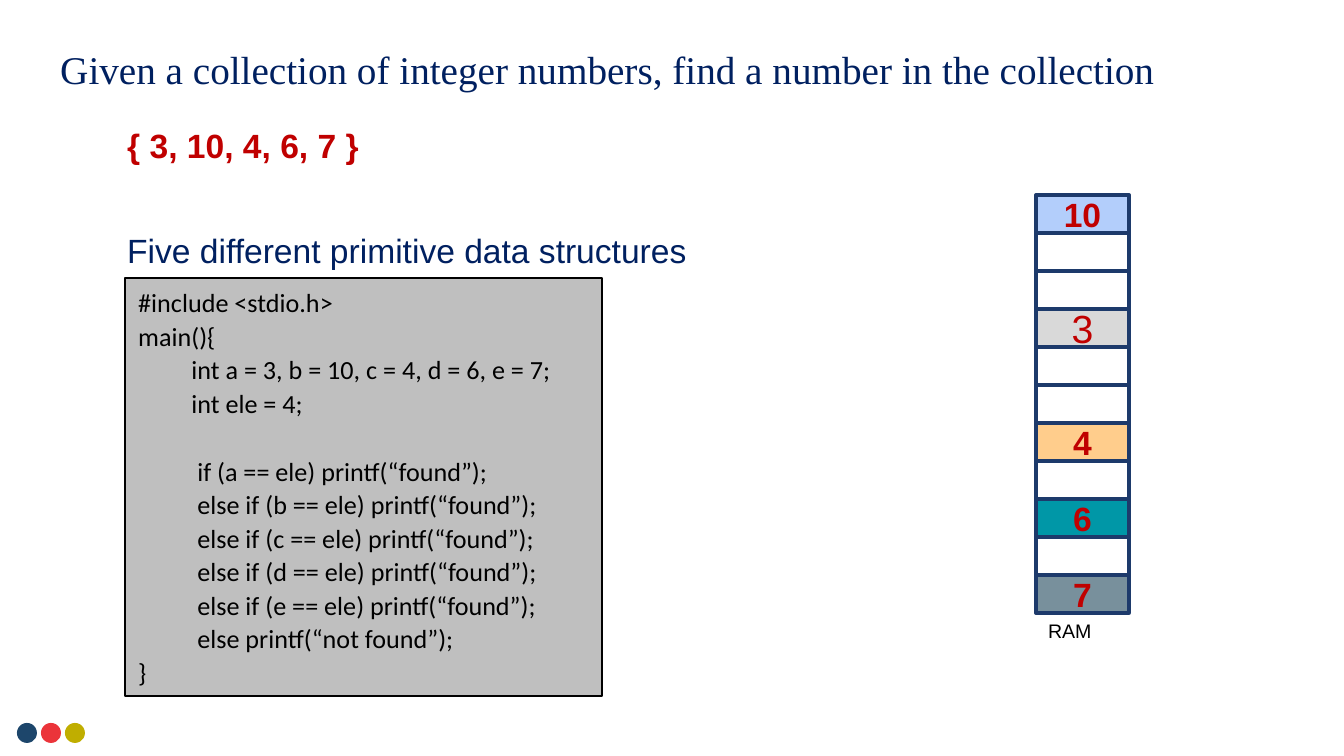
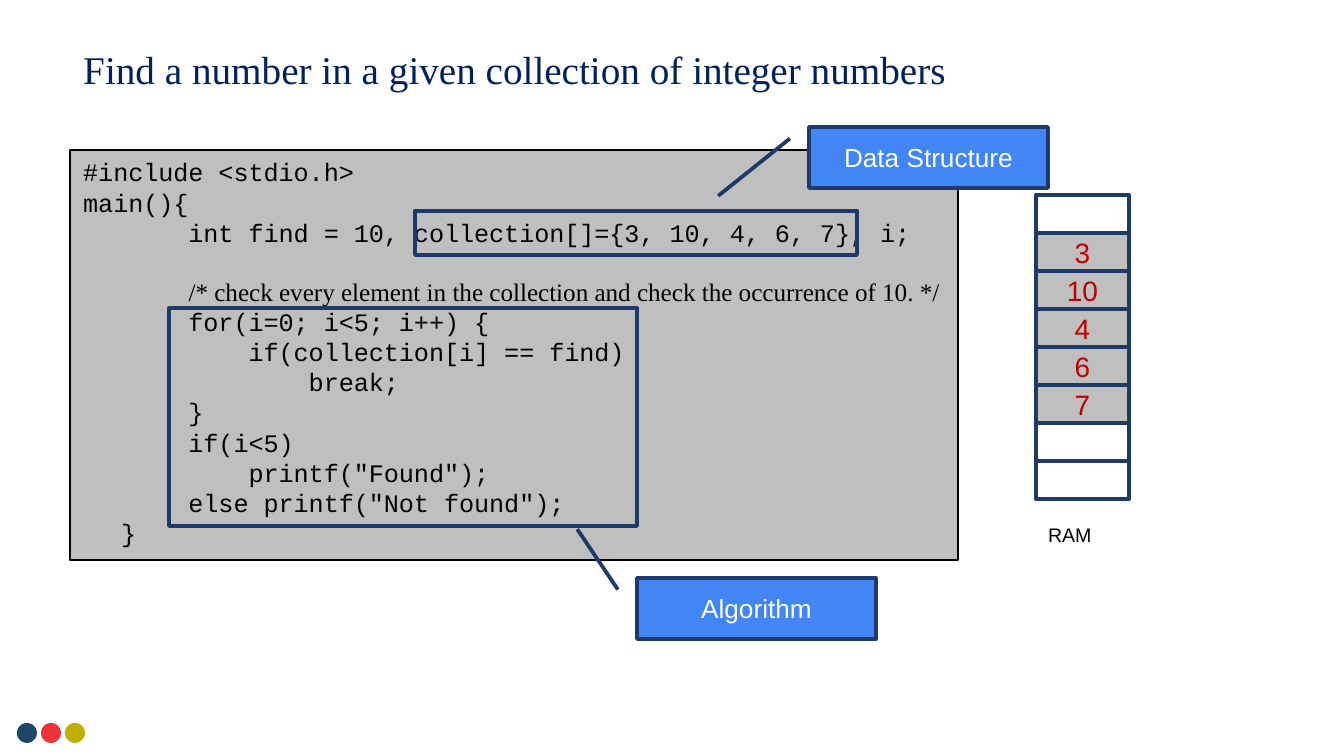
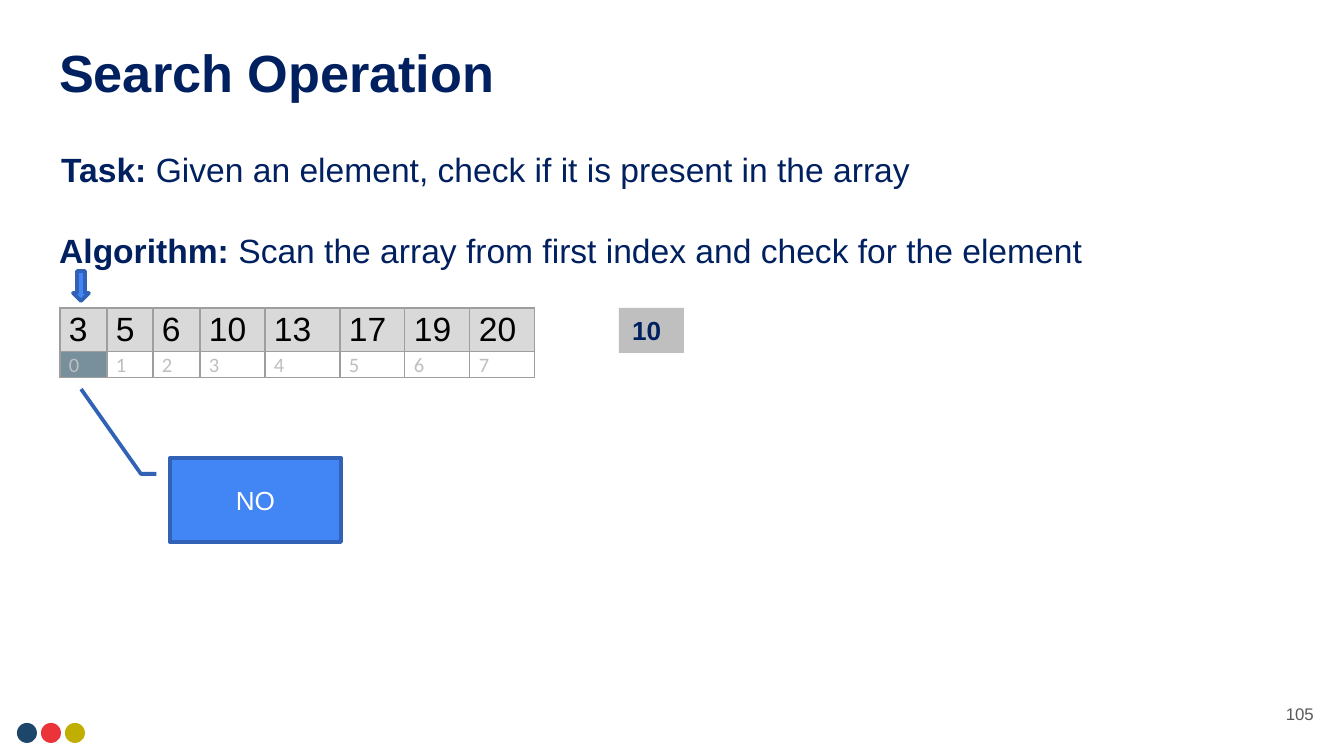
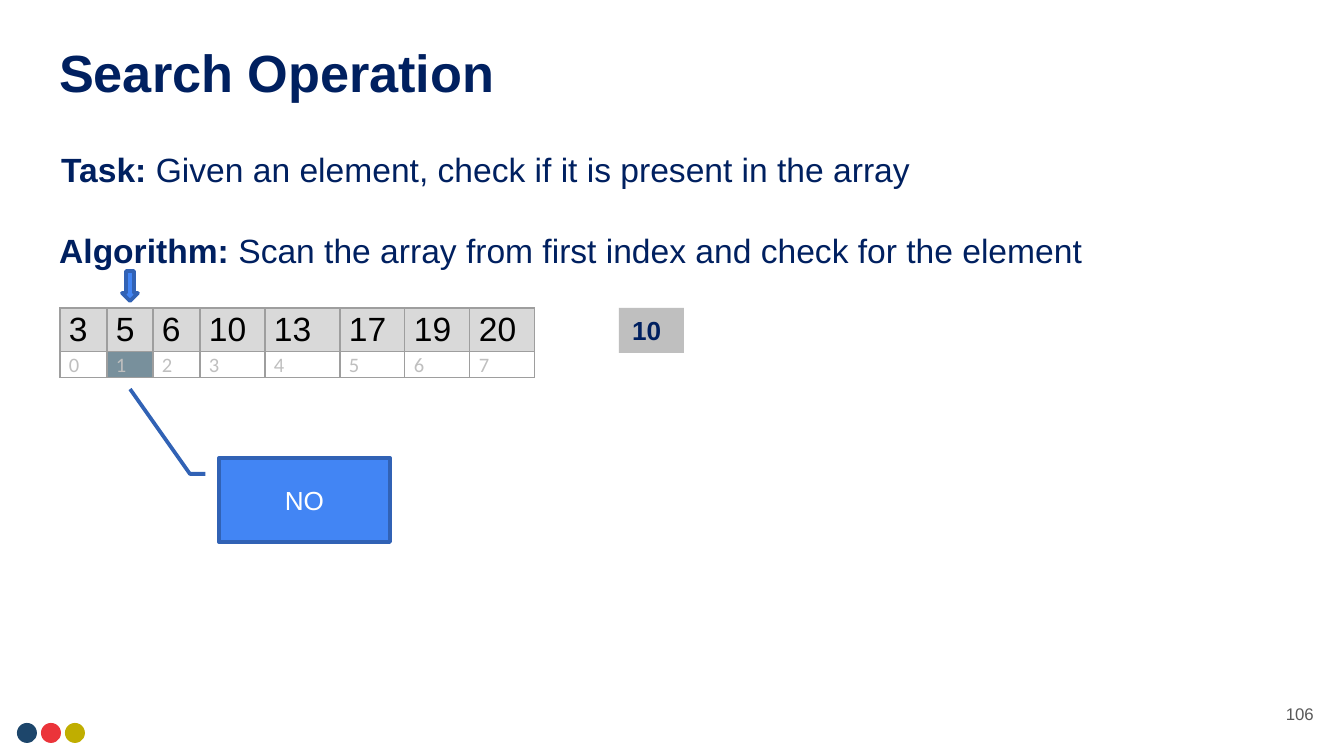
from dataclasses import dataclass, replace
from typing import Optional

from lxml.etree import SubElement
from pptx import Presentation
from pptx.dml.color import RGBColor
from pptx.enum.shapes import MSO_SHAPE
from pptx.enum.text import MSO_ANCHOR, PP_ALIGN
from pptx.oxml.ns import qn
from pptx.util import Emu, Pt

EMU_PER_PX = 914400 / 134.4

NAVY = "002060"
RED = "C00000"
BLACK = "000000"
WHITE = "FFFFFF"
GREY = "BFBFBF"
PALE_GREY = "D9D9D9"
SLATE = "78909C"
BLUE = "4285F4"
BLUE_EDGE = "3162B5"
DARK_EDGE = "1D3A6B"
GRID = "9E9E9E"


@dataclass(frozen=True)
class Box:
    left: int
    top: int
    width: int
    height: int


@dataclass(frozen=True)
class Style:
    font: str
    size: float
    color: str
    bold: bool = False
    align: PP_ALIGN = PP_ALIGN.LEFT
    line_spacing: Optional[float] = None
    margin: int = 0
    hanging: int = 0


@dataclass(frozen=True)
class Span:
    text: str
    bold: Optional[bool] = None
    font: Optional[str] = None


@dataclass(frozen=True)
class Look:
    fill: Optional[str] = None
    edge: Optional[str] = None
    weight: float = 2


@dataclass(frozen=True)
class Cell:
    text: str = ""
    fill: Optional[str] = None
    size: float = 18
    bold: bool = True


HEADLINE = Style("Times New Roman", 21, NAVY)
TITLE = Style("Arial", 28, NAVY, bold=True)
BODY = Style("Arial", 18, NAVY)
RAM_LABEL = Style("Arial", 10.5, BLACK)
CALLOUT = Style("Arial", 14, WHITE, align=PP_ALIGN.CENTER)
TARGET = Style("Arial", 14, NAVY, bold=True)
PAGE_NUMBER = Style("Arial", 9, "595959", align=PP_ALIGN.RIGHT)
CALIBRI_CODE = Style("Calibri", 14, BLACK, line_spacing=1.07)
COURIER_CODE = Style("Courier New", 13.5, BLACK, align=PP_ALIGN.JUSTIFY, margin=38, hanging=38)
VALUE = Style("Arial", 18, BLACK, line_spacing=1.07)
INDEX = Style("Calibri", 11, GREY, line_spacing=1.07)

CODE_LOOK = Look(GREY, BLACK, 0.75)
FRAME_LOOK = Look(edge=DARK_EDGE)

DOTS = ("1D466B", "EB343A", "C0AE00")
ARRAY = (3, 5, 6, 10, 13, 17, 19, 20)
COLUMN_WIDTHS = (47, 46, 47, 65, 75, 65, 65, 65)
ROW_HEIGHTS = (43, 26)
INDEX_STEP = 49

FIVE_VARIABLES = """#include <stdio.h>
main(){
         int a = 3, b = 10, c = 4, d = 6, e = 7;
         int ele = 4;

          if (a == ele) printf(“found”);
          else if (b == ele) printf(“found”);
          else if (c == ele) printf(“found”);
          else if (d == ele) printf(“found”);
          else if (e == ele) printf(“found”);
          else printf(“not found”);
}"""

ARRAY_LOOP = """#include <stdio.h>
main(){
       int find = 10, collection[]={3, 10, 4, 6, 7}, i;

       /* check every element in the collection and check the occurrence of 10. */
       for(i=0; i<5; i++) {
           if(collection[i] == find)
               break;
       }
       if(i<5)
           printf("Found");
       else printf("Not found");
}"""


def px(value: int) -> Emu:
    return Emu(round(value * EMU_PER_PX))


def rgb(color: str) -> RGBColor:
    return RGBColor.from_string(color)


def place(box: Box) -> tuple:
    return px(box.left), px(box.top), px(box.width), px(box.height)


def write_para(para, spans: list[Span], style: Style) -> None:
    para.alignment = style.align
    if style.line_spacing:
        para.line_spacing = style.line_spacing
    if style.margin:
        properties = para._p.get_or_add_pPr()
        properties.set("marL", str(px(style.margin)))
        properties.set("indent", str(-px(style.hanging)))
    para.font.name = style.font
    para.font.size = Pt(style.size)
    para.font.bold = style.bold
    para.font.color.rgb = rgb(style.color)
    for span in spans:
        run = para.add_run()
        run.text = span.text
        if span.bold is not None:
            run.font.bold = span.bold
        if span.font:
            run.font.name = span.font


def add_text(page, box: Box, spans: list[Span], style: Style):
    shape = page.shapes.add_textbox(*place(box))
    shape.text_frame.word_wrap = True
    write_para(shape.text_frame.paragraphs[0], spans, style)
    return shape


def add_shape(shapes, kind: MSO_SHAPE, box: Box, look: Look, text: str = "",
              style: Style = CALLOUT, anchor: MSO_ANCHOR = MSO_ANCHOR.MIDDLE,
              adjustments: tuple = ()):
    shape = shapes.add_shape(kind, *place(box))
    shape.shadow.inherit = False
    if look.fill:
        shape.fill.solid()
        shape.fill.fore_color.rgb = rgb(look.fill)
    else:
        shape.fill.background()
    if look.edge:
        shape.line.color.rgb = rgb(look.edge)
        shape.line.width = Pt(look.weight)
    else:
        shape.line.fill.background()
    for number, value in enumerate(adjustments):
        shape.adjustments[number] = value
    shape.text_frame.word_wrap = True
    shape.text_frame.vertical_anchor = anchor
    if text:
        write_para(shape.text_frame.paragraphs[0], [Span(text)], style)
    return shape


def add_code(page, box: Box, code: str, style: Style, line_height: float) -> None:
    shape = add_shape(page.shapes, MSO_SHAPE.RECTANGLE, box, CODE_LOOK, anchor=MSO_ANCHOR.TOP)
    frame = shape.text_frame
    gap = False
    for number, line in enumerate(code.split("\n")):
        if not line:
            gap = True
            continue
        para = frame.paragraphs[0] if number == 0 else frame.add_paragraph()
        start = line.find("/*")
        if start >= 0:
            spans = [Span(line[:start]), Span(line[start:], font="Times New Roman")]
        else:
            spans = [Span(line)]
        line_style = replace(style, hanging=0) if line == "}" else style
        write_para(para, spans, line_style)
        if gap:
            para.space_before = Pt(line_height)
            gap = False


def add_ram(page, cells: list[Cell], label_top: int) -> None:
    group = page.shapes.add_group_shape()
    for number, cell in enumerate(cells):
        style = Style("Arial", cell.size, RED, bold=cell.bold, align=PP_ALIGN.CENTER)
        add_shape(group.shapes, MSO_SHAPE.RECTANGLE, Box(1036, 195 + 38 * number, 93, 38),
                  Look(cell.fill, DARK_EDGE), cell.text, style)
    add_text(page, Box(1035, label_top, 99, 38), [Span("RAM")], RAM_LABEL)


def add_borders(cell) -> None:
    properties = cell._tc.get_or_add_tcPr()
    for number, side in enumerate(("a:lnL", "a:lnR", "a:lnT", "a:lnB")):
        line = SubElement(properties, qn(side), w=str(Pt(0.75)))
        fill = SubElement(line, qn("a:solidFill"))
        SubElement(fill, qn("a:srgbClr"), val=GRID)
        properties.remove(line)
        properties.insert(number, line)


def add_array(page, current: int) -> None:
    box = Box(60, 308, sum(COLUMN_WIDTHS), sum(ROW_HEIGHTS))
    table = page.shapes.add_table(2, len(ARRAY), *place(box)).table
    table.first_row = False
    table.horz_banding = False
    for row, height in zip(table.rows, ROW_HEIGHTS):
        row.height = px(height)
    for index, (value, width) in enumerate(zip(ARRAY, COLUMN_WIDTHS)):
        table.columns[index].width = px(width)
        index_fill = SLATE if index == current else None
        entries = ((value, VALUE, PALE_GREY), (index, INDEX, index_fill))
        for row, (content, style, fill) in enumerate(entries):
            cell = table.cell(row, index)
            cell.margin_left = cell.margin_right = px(9)
            cell.margin_top = cell.margin_bottom = 0
            if fill:
                cell.fill.solid()
                cell.fill.fore_color.rgb = rgb(fill)
            else:
                cell.fill.background()
            add_borders(cell)
            write_para(cell.text_frame.paragraphs[0], [Span(str(content))], style)


def add_page(deck):
    page = deck.slides.add_slide(deck.slide_layouts[6])
    group = page.shapes.add_group_shape()
    for number, color in enumerate(DOTS):
        add_shape(group.shapes, MSO_SHAPE.OVAL, Box(17 + 24 * number, 723, 20, 20), Look(color))
    return page


def build_variables(deck) -> None:
    page = add_page(deck)
    add_text(page, Box(47, 39, 1138, 60),
             [Span("Given a collection of integer numbers, find a number in the collection")],
             HEADLINE)
    add_text(page, Box(114, 118, 664, 54), [Span("{ 3, 10, 4, 6, 7 }")],
             replace(BODY, color=RED, bold=True))
    add_text(page, Box(114, 223, 672, 54),
             [Span("Five different primitive data structures")], BODY)
    empty = Cell()
    add_ram(page, [
        Cell("10", "B3CEFB"), empty, empty,
        Cell("3", PALE_GREY, 21, False), empty, empty,
        Cell("4", "FFCD8C"), empty,
        Cell("6", "0097A7"), empty,
        Cell("7", SLATE),
    ], 612)
    add_code(page, Box(125, 278, 477, 418), FIVE_VARIABLES, CALIBRI_CODE, 18.3)


def build_loop(deck) -> None:
    page = add_page(deck)
    add_text(page, Box(70, 39, 898, 60),
             [Span("Find a number in a given collection of integer numbers")], HEADLINE)
    values = [Cell(text, GREY, 15, False) for text in ("3", "10", "4", "6", "7")]
    add_ram(page, [Cell(), *values, Cell(), Cell()], 516)
    add_code(page, Box(70, 150, 888, 410), ARRAY_LOOP, COURIER_CODE, 15.3)
    for frame in (Box(415, 211, 442, 44), Box(169, 308, 468, 218)):
        add_shape(page.shapes, MSO_SHAPE.RECTANGLE, frame, FRAME_LOOK)
    callouts = (
        ("Data Structure", Box(809, 127, 239, 61), (0.19, -0.08, 1.13, -0.38)),
        ("Algorithm", Box(637, 578, 239, 61), (0.19, -0.08, -0.8, -0.25)),
    )
    for text, box, adjustments in callouts:
        add_shape(page.shapes, MSO_SHAPE.LINE_CALLOUT_1, box, Look(BLUE, DARK_EDGE),
                  text, adjustments=adjustments)


def build_search(deck, current: int, number: int) -> None:
    page = add_page(deck)
    footer = add_text(page, Box(1246, 685, 81, 58), [Span(str(number))], PAGE_NUMBER)
    footer.text_frame.vertical_anchor = MSO_ANCHOR.MIDDLE
    add_text(page, Box(46, 34, 1253, 85), [Span("Search Operation")], TITLE)
    add_text(page, Box(46, 223, 1082, 54),
             [Span("Algorithm: ", bold=True),
              Span("Scan the array from first index and check for the element")], BODY)
    add_array(page, current)
    add_text(page, Box(48, 142, 1082, 54),
             [Span("Task:", bold=True),
              Span(" Given an element, check if it is present in the array")], BODY)
    add_shape(page.shapes, MSO_SHAPE.RECTANGLE, Box(619, 308, 65, 45), Look(GREY),
              "10", TARGET, MSO_ANCHOR.TOP)
    shift = INDEX_STEP * current
    look = Look(BLUE, BLUE_EDGE)
    add_shape(page.shapes, MSO_SHAPE.DOWN_ARROW, Box(73 + shift, 271, 16, 30), look)
    add_shape(page.shapes, MSO_SHAPE.LINE_CALLOUT_2, Box(170 + shift, 458, 171, 84), look,
              "NO", adjustments=(0.19, -0.08, 0.19, -0.17, -0.82, -0.52))


def main() -> None:
    deck = Presentation()
    deck.slide_width = px(1344)
    deck.slide_height = px(756)
    build_variables(deck)
    build_loop(deck)
    for current, number in enumerate((105, 106)):
        build_search(deck, current, number)
    deck.save("out.pptx")


if __name__ == "__main__":
    main()
